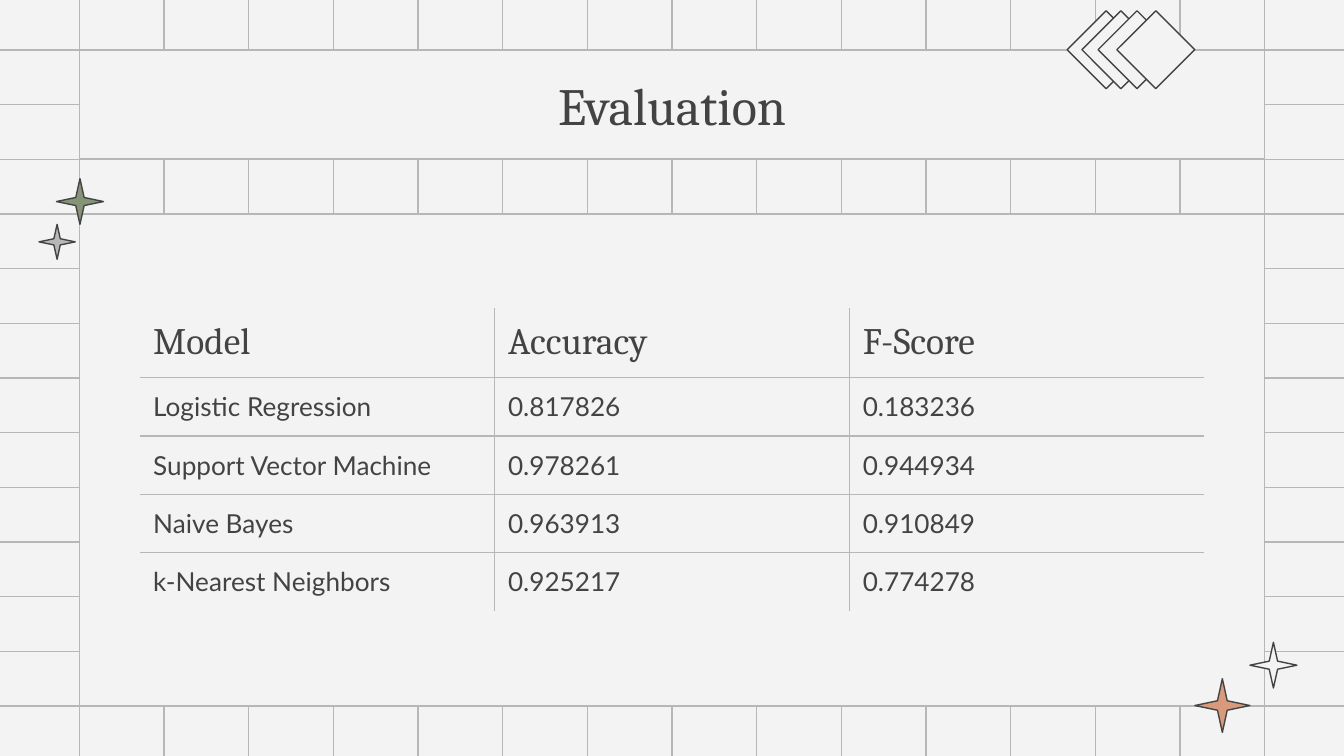
"""Build the model evaluation slide with a results table on a grid backdrop."""
import pptx
import pptx.dml.color
import pptx.enum.shapes
import pptx.enum.text
import pptx.oxml.ns
import pptx.util
from lxml import etree

Inches = pptx.util.Inches
Pt = pptx.util.Pt
SHAPE = pptx.enum.shapes.MSO_SHAPE
ALIGN = pptx.enum.text.PP_ALIGN
MIDDLE = pptx.enum.text.MSO_ANCHOR.MIDDLE
qn = pptx.oxml.ns.qn

COLORS = {
    "paper": "F3F3F3",
    "grid": "B7B7B7",
    "ink": "434343",
    "orange": "D9997D",
    "green": "859477",
}
TITLE = "Evaluation"
RESULTS = [
    ("Model", "Accuracy", "F-Score"),
    ("Logistic Regression", "0.817826", "0.183236"),
    ("Support Vector Machine", "0.978261", "0.944934"),
    ("Naive Bayes", "0.963913", "0.910849"),
    ("k-Nearest Neighbors", "0.925217", "0.774278"),
]
DIAMOND_LEFTS = [7.94, 8.05, 8.17, 8.31]
STARS_BELOW_TABLE = [
    (8.89, 5.05, 0.41, 0.40, "orange"),
    (9.30, 4.78, 0.35, 0.34, "paper"),
]
STARS_ABOVE_TABLE = [
    (0.29, 1.67, 0.27, 0.26, "grid"),
    (0.42, 1.33, 0.35, 0.34, "green"),
]
WIDTH = 10
HEIGHT = WIDTH * 9 / 16
CENTER_X, CENTER_Y = WIDTH / 2, HEIGHT / 2
GRID_WIDTH, GRID_COLUMNS = 8.82, 14
GRID_HEIGHT, GRID_ROWS = 4.88, 12
GRID_LEFT = CENTER_X - GRID_WIDTH / 2
GRID_TOP = CENTER_Y - GRID_HEIGHT / 2
OVERHANG = 0.04
LINE_WIDTH = 0.75
TITLE_HEIGHT, PANEL_HEIGHT = 0.81, 3.66
TABLE_LEFT, TABLE_TOP = 1.04, 2.29
COLUMN_WIDTH, ROW_HEIGHT = 2.64, 0.42


def rgb(name):
    return pptx.dml.color.RGBColor.from_string(COLORS[name])


def add_grid_line(slide, start, end):
    line = slide.shapes.add_connector(
        pptx.enum.shapes.MSO_CONNECTOR.STRAIGHT, *map(Inches, start + end))
    line.line.color.rgb = rgb("grid")
    line.line.width = Pt(LINE_WIDTH)
    etree.SubElement(line._element.spPr, qn("a:effectLst"))


def add_grid(slide):
    column_step = GRID_WIDTH / GRID_COLUMNS
    row_step = GRID_HEIGHT / GRID_ROWS
    for top, bottom in ((-OVERHANG, CENTER_Y), (CENTER_Y, HEIGHT + OVERHANG)):
        for column in range(GRID_COLUMNS + 1):
            x = GRID_LEFT + column * column_step
            add_grid_line(slide, (x, top), (x, bottom))
    for left, right in ((-OVERHANG, CENTER_X), (CENTER_X, WIDTH + OVERHANG)):
        for row in range(GRID_ROWS + 1):
            y = GRID_TOP + row * row_step
            add_grid_line(slide, (left, y), (right, y))


def add_figure(slide, preset, left, top, width, height, fill="paper", outline="ink"):
    shape = slide.shapes.add_shape(preset, *map(Inches, (left, top, width, height)))
    shape.shadow.inherit = False
    shape.fill.solid()
    shape.fill.fore_color.rgb = rgb(fill)
    shape.line.color.rgb = rgb(outline)
    shape.line.width = Pt(LINE_WIDTH)
    return shape


def add_stars(slide, stars):
    for left, top, width, height, fill in stars:
        star = add_figure(slide, SHAPE.STAR_4_POINT, left, top, width, height, fill)
        star.adjustments[0] = 1 / 8


def write(text_frame, text, font_name, size, alignment):
    text_frame.text = text
    text_frame.margin_left = text_frame.margin_right = Inches(0.1)
    text_frame.margin_top = text_frame.margin_bottom = Inches(0.1)
    paragraph = text_frame.paragraphs[0]
    paragraph.alignment = alignment
    font = paragraph.runs[0].font
    font.name = font_name
    font.size = Pt(size)
    font.color.rgb = rgb("ink")


def add_border(cell, side, visible):
    properties = cell._tc.get_or_add_tcPr()
    border = etree.SubElement(properties, qn("a:ln" + side), w=str(Pt(LINE_WIDTH)))
    if visible:
        fill = etree.SubElement(border, qn("a:solidFill"))
        etree.SubElement(fill, qn("a:srgbClr"), val=COLORS["grid"])
    else:
        etree.SubElement(border, qn("a:noFill"))


def add_results(slide):
    row_count, column_count = len(RESULTS), len(RESULTS[0])
    table = slide.shapes.add_table(
        row_count, column_count, Inches(TABLE_LEFT), Inches(TABLE_TOP),
        Inches(COLUMN_WIDTH * column_count), Inches(ROW_HEIGHT * row_count)).table
    table.first_row = table.horz_banding = False
    for column in table.columns:
        column.width = Inches(COLUMN_WIDTH)
    for row, values in enumerate(RESULTS):
        table.rows[row].height = Inches(ROW_HEIGHT)
        font_name, size = ("Lato", 14) if row else ("Cambria", 20)
        for column, value in enumerate(values):
            cell = table.cell(row, column)
            write(cell.text_frame, value, font_name, size, ALIGN.LEFT)
            cell.margin_left = cell.margin_right = Inches(0.1)
            cell.margin_top = cell.margin_bottom = Inches(0.1)
            add_border(cell, "L", column > 0)
            add_border(cell, "R", column < column_count - 1)
            add_border(cell, "T", row > 0)
            add_border(cell, "B", row < row_count - 1)
            cell.fill.background()


def main():
    presentation = pptx.Presentation()
    presentation.slide_width = Inches(WIDTH)
    presentation.slide_height = Inches(HEIGHT)
    slide = presentation.slides.add_slide(presentation.slide_layouts[6])
    slide.background.fill.solid()
    slide.background.fill.fore_color.rgb = rgb("paper")

    add_grid(slide)
    panel_top = GRID_TOP + GRID_HEIGHT - PANEL_HEIGHT
    add_figure(slide, SHAPE.RECTANGLE, GRID_LEFT, panel_top,
               GRID_WIDTH, PANEL_HEIGHT, outline="grid")
    title = add_figure(slide, SHAPE.RECTANGLE, GRID_LEFT, GRID_TOP,
                       GRID_WIDTH, TITLE_HEIGHT, outline="grid")
    write(title.text_frame, TITLE, "Cambria", 28, ALIGN.CENTER)
    title.text_frame.vertical_anchor = MIDDLE

    for left in DIAMOND_LEFTS:
        add_figure(slide, SHAPE.DIAMOND, left, 0.08, 0.58, 0.58)
    add_stars(slide, STARS_BELOW_TABLE)
    add_results(slide)
    add_stars(slide, STARS_ABOVE_TABLE)
    presentation.save("out.pptx")


if __name__ == "__main__":
    main()
